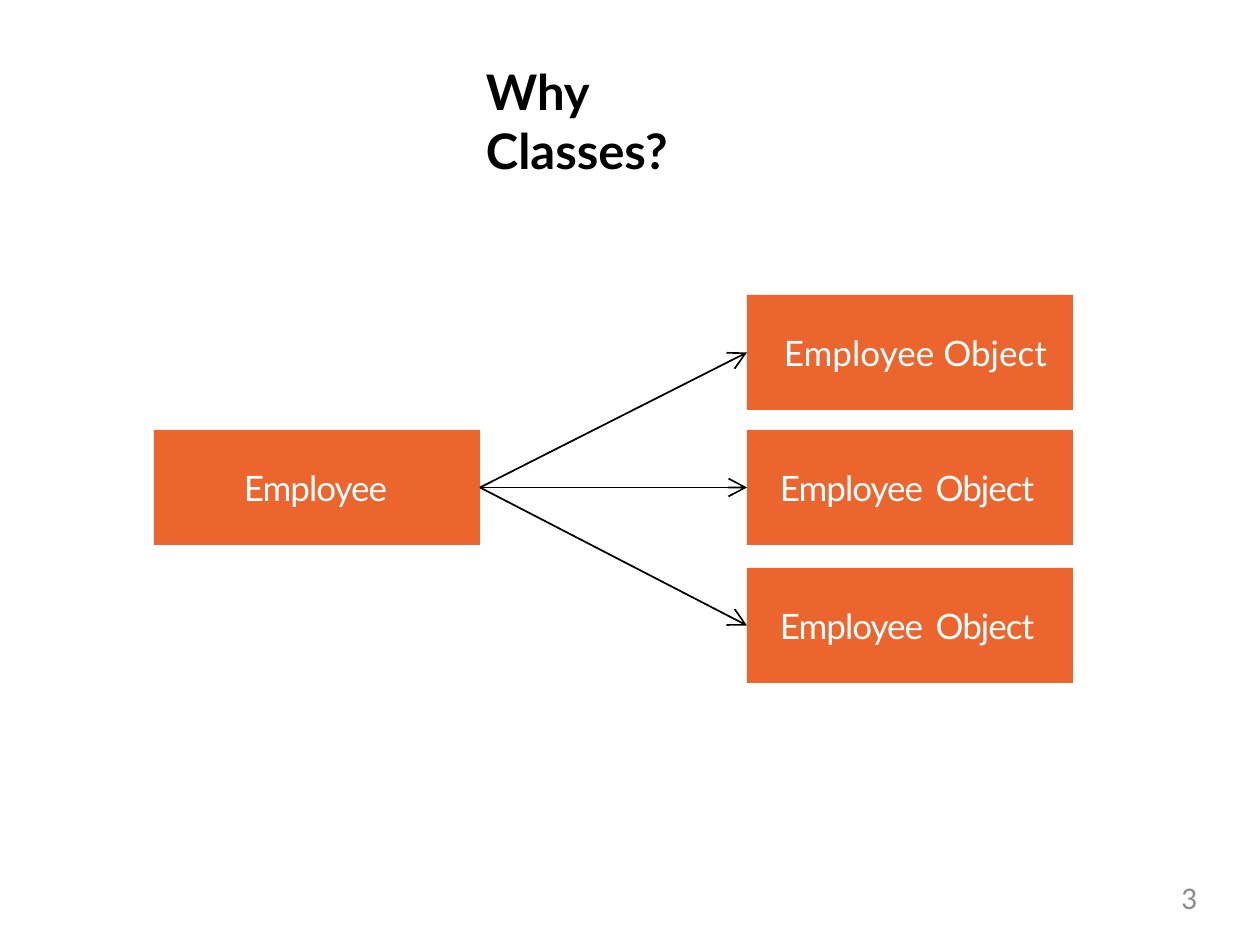
from dataclasses import dataclass
from typing import NamedTuple

from lxml.etree import SubElement
from pptx import Presentation
from pptx.dml.color import RGBColor
from pptx.enum.shapes import MSO_CONNECTOR, MSO_SHAPE
from pptx.enum.text import MSO_ANCHOR, PP_ALIGN
from pptx.oxml.ns import qn
from pptx.util import Emu, Pt

PIXEL = 914400 // 126


@dataclass(frozen=True)
class Theme:
    """Colours, fonts and type sizes of the slide."""
    orange: RGBColor = RGBColor(0xED, 0x65, 0x2E)
    black: RGBColor = RGBColor(0, 0, 0)
    white: RGBColor = RGBColor(255, 255, 255)
    grey: RGBColor = RGBColor(0x8C, 0x8C, 0x8C)
    main_font: str = "Lato"
    number_font: str = "Calibri"
    title_size: int = 28
    label_size: int = 20
    number_size: int = 18
    line_width: int = 1


class Box(NamedTuple):
    """A rectangle in pixels."""
    left: int
    top: int
    width: int
    height: int

    def emu(self):
        """Return the four lengths in EMU."""
        return [px(length) for length in self]


THEME = Theme()


def px(length):
    """Turn pixels into EMU."""
    return Emu(length * PIXEL)


def prepare_frame(frame, indent=0, trim=0):
    """Set wrapping and margins, and return the first paragraph."""
    frame.word_wrap = True
    frame.margin_left, frame.margin_right = px(indent), px(trim)
    frame.margin_top = frame.margin_bottom = 0
    return frame.paragraphs[0]


def style_run(run, font, size, colour, bold=False, spacing=0):
    """Format one run; spacing is in points."""
    run.font.name = font
    run.font.size = Pt(size)
    run.font.color.rgb = colour
    run.font.bold = bold
    if spacing:
        run.font._element.set("spc", str(round(spacing * 100)))


def add_title(slide, box, text):
    """Place the bold heading, wrapped inside its box."""
    heading = slide.shapes.add_textbox(*box.emu())
    paragraph = prepare_frame(heading.text_frame, indent=1, trim=40)
    paragraph.text = text
    paragraph.space_before = Pt(1)
    style_run(paragraph.runs[0], THEME.main_font, THEME.title_size, THEME.black, bold=True)


def add_label_box(slide, box, pieces, indent):
    """Place an orange box whose label is made of (text, spacing) pieces."""
    label_box = slide.shapes.add_shape(MSO_SHAPE.RECTANGLE, *box.emu())
    label_box.shadow.inherit = False
    label_box.fill.solid()
    label_box.fill.fore_color.rgb = THEME.orange
    label_box.line.fill.background()
    label_box.text_frame.vertical_anchor = MSO_ANCHOR.MIDDLE
    paragraph = prepare_frame(label_box.text_frame, indent)
    paragraph.alignment = PP_ALIGN.LEFT
    for text, spacing in pieces:
        run = paragraph.add_run()
        run.text = text
        style_run(run, THEME.main_font, THEME.label_size, THEME.white, spacing=spacing)
    return label_box


def add_arrow(slide, source, target):
    """Join the right side of source to the left side of target."""
    arrow = slide.shapes.add_connector(MSO_CONNECTOR.STRAIGHT, 0, 0, 0, 0)
    arrow.begin_connect(source, 3)
    arrow.end_connect(target, 1)
    arrow.line.color.rgb = THEME.black
    arrow.line.width = Pt(THEME.line_width)
    SubElement(arrow.line._get_or_add_ln(), qn("a:tailEnd"), type="arrow", w="lg", len="lg")
    SubElement(arrow._element.spPr, qn("a:effectLst"))


def add_class_diagram(slide, box):
    """Place the class box, its three objects and the arrows between them."""
    width, height = 326, 115
    tight = [("Employee", -0.6), (" ", 2), ("Object", -0.6)]
    loose = [("Employee Object", 0)]
    objects = [(0, loose, 37), (135, tight, 33), (273, tight, 33)]

    class_box = add_label_box(slide, Box(box.left, box.top + 135, width, height),
                              [("Employee", -0.6)], 90)
    object_left = box.left + box.width - width
    for offset, pieces, indent in objects:
        object_box = add_label_box(slide, Box(object_left, box.top + offset, width, height),
                                   pieces, indent)
        add_arrow(slide, class_box, object_box)


def add_page_number(slide, box, number):
    """Place the page number against the right edge of its box."""
    page_number = slide.shapes.add_textbox(*box.emu())
    paragraph = prepare_frame(page_number.text_frame)
    paragraph.text = number
    paragraph.alignment = PP_ALIGN.RIGHT
    style_run(paragraph.runs[0], THEME.number_font, THEME.number_size, THEME.grey)


def main():
    """Build the slide and save it."""
    presentation = Presentation()
    presentation.slide_width, presentation.slide_height = px(1260), px(945)
    slide = presentation.slides.add_slide(presentation.slide_layouts[6])
    add_title(slide, Box(485, 62, 291, 62), "Why Classes?")
    add_class_diagram(slide, Box(154, 295, 919, 388))
    add_page_number(slide, Box(907, 878, 290, 48), "3")
    presentation.save("out.pptx")


main()
